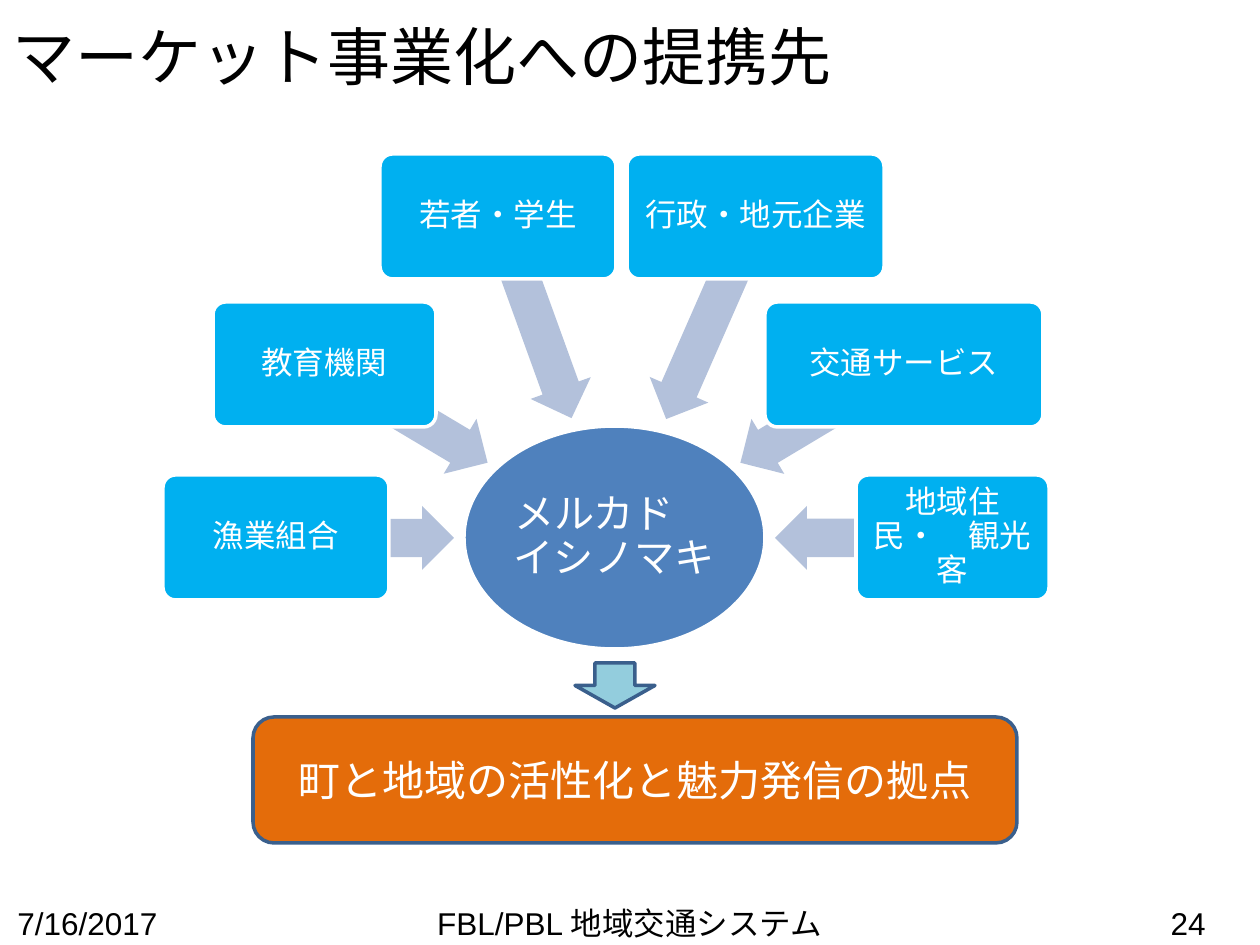
from typing import NamedTuple

from lxml import etree
from pptx import Presentation, util as u
from pptx.dml.color import RGBColor
from pptx.enum import shapes, text
from pptx.oxml.ns import qn

PX_PER_INCH = 126
EMU_PER_PX = 914400 / PX_PER_INCH
SLIDE_WIDTH, SLIDE_HEIGHT = 1260, 945

GOTHIC = "Noto Sans CJK JP"
LATIN = "Arial"
LEFT, CENTER, RIGHT = text.PP_ALIGN.LEFT, text.PP_ALIGN.CENTER, text.PP_ALIGN.RIGHT

BLACK = RGBColor(0x00, 0x00, 0x00)
WHITE = RGBColor(0xFF, 0xFF, 0xFF)
HUB_BLUE = RGBColor(0x4F, 0x81, 0xBD)
PARTNER_BLUE = RGBColor(0x00, 0xB0, 0xF0)
ARROW_BLUE = RGBColor(0xB3, 0xC1, 0xDB)
OUTLINE_BLUE = RGBColor(0x3A, 0x5F, 0x8C)
GOAL_ORANGE = RGBColor(0xE4, 0x6C, 0x0A)
DOWN_TEAL = RGBColor(0x93, 0xCD, 0xDD)

PARTNER_HEIGHT = 125
ARROW_HEIGHT = 64
FOOTER_TOP, FOOTER_HEIGHT = 898, 50


class Row(NamedTuple):
    """Heights shared by the partners on one level around the hub."""
    box_top: int
    arrow_center_y: int


class Partner(NamedTuple):
    label: str
    row: Row
    box_left: int
    box_width: int
    arrow_center_x: int
    arrow_length: int
    arrow_rotation: float


TOP_ROW = Row(box_top=154, arrow_center_y=317)
MIDDLE_ROW = Row(box_top=302, arrow_center_y=414)
BOTTOM_ROW = Row(box_top=475, arrow_center_y=538)

# Clockwise around the hub, from its left side to its right side.
PARTNERS = [
    Partner("漁業組合", BOTTOM_ROW, 163, 226, 365, 178, 180),
    Partner("教育機関", MIDDLE_ROW, 213, 223, 406, 190, 210.8),
    Partner("若者・学生", TOP_ROW, 380, 236, 535, 215, 250.1),
    Partner("行政・地元企業", TOP_ROW, 627, 257, 711, 223, 293.7),
    Partner("交通サービス", MIDDLE_ROW, 765, 278, 822, 190, 329.1),
    Partner("地域住民・　観光客", BOTTOM_ROW, 856, 193, 864, 178, 0),
]

# Words, left, width, alignment
FOOTERS = [
    ("7/16/2017", 5, 294, LEFT),
    ("FBL/PBL 地域交通システム", 213, 833, CENTER),
    ("24", 924, 294, RIGHT),
]


def px(length):
    return u.Emu(round(length * EMU_PER_PX))


def write(shape, words, size, color, align, font_name=GOTHIC, margin=None, spacing=None):
    """Give a shape one vertically centred paragraph."""
    frame = shape.text_frame
    frame.word_wrap = True
    frame.auto_size = text.MSO_AUTO_SIZE.NONE
    frame.vertical_anchor = text.MSO_ANCHOR.MIDDLE
    if margin is not None:
        frame.margin_left = frame.margin_right = px(margin)
        frame.margin_top = frame.margin_bottom = px(margin)
    frame.text = words
    paragraph = frame.paragraphs[0]
    paragraph.alignment = align
    paragraph.line_spacing = spacing
    font = paragraph.font
    font.size = u.Pt(size)
    font.color.rgb = color
    font.name = font_name
    font_defaults = paragraph._p.pPr.find(qn("a:defRPr"))
    etree.SubElement(font_defaults, qn("a:ea"), typeface=font_name)


def add_shape(slide, kind, box, fill, line=None):
    shape = slide.shapes.add_shape(kind, *map(px, box))
    shape.shadow.inherit = False
    shape.fill.solid()
    shape.fill.fore_color.rgb = fill
    if line is None:
        shape.line.fill.background()
    else:
        shape.line.color.rgb = line
        shape.line.width = u.Pt(2)
    return shape


def add_title(slide, words):
    title = slide.shapes.title
    title.left, title.top, title.width, title.height = map(px, (0, -4, 1081, 118))
    write(title, words, 36, BLACK, LEFT)


def add_footer(slide, words, left, width, align):
    footer = slide.shapes.add_textbox(*map(px, (left, FOOTER_TOP, width, FOOTER_HEIGHT)))
    write(footer, words, 18, BLACK, align, font_name=LATIN)


def add_hub(slide, words):
    hub = add_shape(slide, shapes.MSO_SHAPE.OVAL, (464, 426, 301, 223), HUB_BLUE, WHITE)
    write(hub, words, 23, WHITE, CENTER, margin=2, spacing=0.9)


def add_partner_arrow(slide, partner):
    """Place the arrow by its centre, which rotation leaves fixed."""
    left = partner.arrow_center_x - partner.arrow_length / 2
    top = partner.row.arrow_center_y - ARROW_HEIGHT / 2
    arrow = add_shape(slide, shapes.MSO_SHAPE.LEFT_ARROW,
                      (left, top, partner.arrow_length, ARROW_HEIGHT), ARROW_BLUE)
    arrow.adjustments[0] = 0.6
    arrow.rotation = partner.arrow_rotation


def add_partner_box(slide, partner):
    box = (partner.box_left, partner.row.box_top, partner.box_width, PARTNER_HEIGHT)
    shape = add_shape(slide, shapes.MSO_SHAPE.ROUNDED_RECTANGLE, box, PARTNER_BLUE, WHITE)
    shape.adjustments[0] = 0.1
    write(shape, partner.label, 18, WHITE, CENTER, margin=5, spacing=0.9)


def add_goal(slide, words):
    goal = add_shape(slide, shapes.MSO_SHAPE.ROUNDED_RECTANGLE,
                     (253, 717, 764, 126), GOAL_ORANGE, OUTLINE_BLUE)
    write(goal, words, 24, WHITE, CENTER)


def add_goal_arrow(slide):
    add_shape(slide, shapes.MSO_SHAPE.DOWN_ARROW, (575, 663, 80, 45), DOWN_TEAL, OUTLINE_BLUE)


def main():
    presentation = Presentation()
    presentation.slide_width = px(SLIDE_WIDTH)
    presentation.slide_height = px(SLIDE_HEIGHT)
    title_only = presentation.slide_layouts.get_by_name("Title Only")
    slide = presentation.slides.add_slide(title_only)

    add_title(slide, "マーケット事業化への提携先")
    for footer in FOOTERS:
        add_footer(slide, *footer)
    add_hub(slide, "メルカド　イシノマキ")
    for partner in PARTNERS:
        add_partner_arrow(slide, partner)
        add_partner_box(slide, partner)
    add_goal(slide, "町と地域の活性化と魅力発信の拠点")
    add_goal_arrow(slide)

    presentation.save("out.pptx")


if __name__ == "__main__":
    main()
